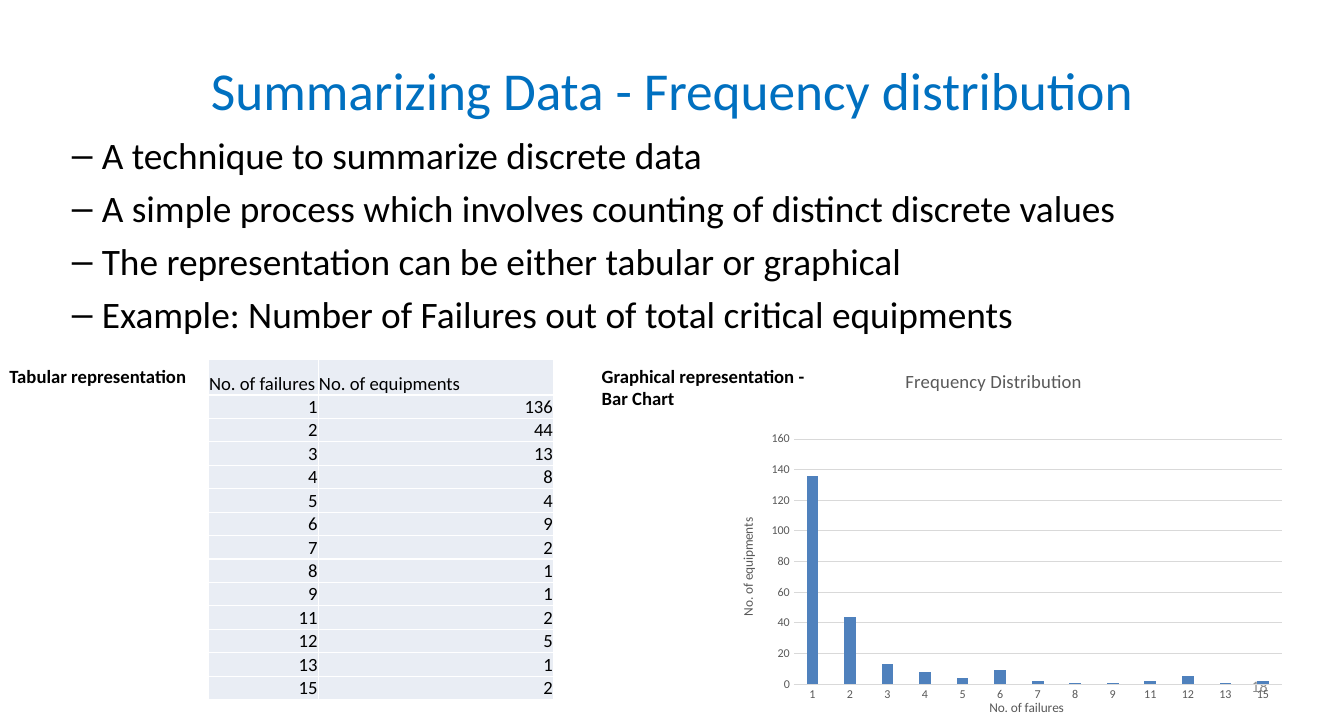
from dataclasses import dataclass

from lxml import etree
from pptx import Presentation
from pptx import util as u
from pptx.chart import data as chart_data
from pptx.dml import color
from pptx.enum import chart as chart_enum, text
from pptx.oxml import ns


@dataclass(frozen=True)
class Theme:
    font: str = "Calibri"
    title: str = "0070C0"
    ink: str = "000000"
    muted: str = "8C8C8C"
    axis: str = "595959"
    grid: str = "D9D9D9"
    cell: str = "E9EDF4"
    border: str = "FFFFFF"
    bar: str = "4F81BD"
    title_size: int = 40
    body_size: int = 28
    label_size: int = 14
    number_size: int = 12
    axis_title_size: int = 10
    tick_size: int = 9


theme = Theme()
rgb = color.RGBColor.from_string


def set_values(target, values):
    for name, value in values.items():
        setattr(target, name, value)


def set_font(font, size, ink, bold=False):
    set_values(font, {"name": theme.font, "size": u.Pt(size), "bold": bold})
    font.color.rgb = rgb(ink)


presentation = Presentation()
set_values(presentation, {"slide_width": u.Cm(35.56), "slide_height": u.Cm(19.05)})
slide = presentation.slides.add_slide(presentation.slide_layouts[1])

title = slide.shapes.title
set_values(title, {"left": u.Cm(1.78), "top": u.Cm(0.76), "width": u.Cm(32), "height": u.Cm(3.18)})
title.text_frame.text = "Summarizing Data - Frequency distribution"
title.text_frame.vertical_anchor = text.MSO_ANCHOR.MIDDLE
title.text_frame.paragraphs[0].alignment = text.PP_ALIGN.CENTER
set_font(title.text_frame.paragraphs[0].runs[0].font, theme.title_size, theme.title)

body = slide.placeholders[1]
set_values(body, {"left": u.Cm(0.38), "top": u.Cm(3.38), "width": u.Cm(34.7), "height": u.Cm(3.61)})
body.text_frame.text = "\n".join([
    "A technique to summarize discrete data",
    "A simple process which involves counting of distinct discrete values",
    "The representation can be either tabular or graphical",
    "Example: Number of Failures out of total critical equipments",
])
body.text_frame.auto_size = text.MSO_AUTO_SIZE.NONE
for paragraph in body.text_frame.paragraphs:
    set_values(paragraph, {"level": 1, "space_before": u.Pt(3), "space_after": u.Pt(3)})
    set_font(paragraph.runs[0].font, theme.body_size, theme.ink)
    properties = paragraph._p.get_or_add_pPr()
    properties.set("marL", str(u.Cm(2.06)))
    properties.set("indent", str(u.Cm(-0.79)))
    etree.SubElement(properties, ns.qn("a:buChar"), char="–")

left, right = text.PP_ALIGN.LEFT, text.PP_ALIGN.RIGHT
middle, top = text.MSO_ANCHOR.MIDDLE, text.MSO_ANCHOR.TOP
labels = [
    ("18", (25.48, 17.65, 8.31, 1.02), theme.number_size, theme.muted, False, right, middle),
    ("Tabular representation", (0, 9.52, 5.77, 0.86), theme.label_size, theme.ink, True, left, top),
    ("Graphical representation - Bar Chart", (15.67, 9.52, 6.53, 1.45),
     theme.label_size, theme.ink, True, left, top),
]
for wording, place, size, ink, bold, alignment, anchor in labels:
    label = slide.shapes.add_textbox(*map(u.Cm, place))
    set_values(label.text_frame, {"text": wording, "word_wrap": True, "vertical_anchor": anchor})
    label.text_frame.paragraphs[0].alignment = alignment
    set_font(label.text_frame.paragraphs[0].runs[0].font, size, ink, bold)

failures = ["1", "2", "3", "4", "5", "6", "7", "8", "9", "11", "12", "13", "15"]
equipments = [136, 44, 13, 8, 4, 9, 2, 1, 1, 2, 5, 1, 2]
headings = ("No. of failures", "No. of equipments")
rows = [headings, *zip(failures, equipments)]

table = slide.shapes.add_table(
    len(rows), 2, u.Cm(5.51), u.Cm(9.52), u.Cm(9.14), u.Cm(8.99)).table
set_values(table, {"first_row": False, "horz_banding": False})
for column, width in zip(table.columns, (2.91, 6.23)):
    column.width = u.Cm(width)
for row_index, values in enumerate(rows):
    table.rows[row_index].height = u.Cm(0.62 if row_index else 0.93)
    for column_index, value in enumerate(values):
        cell = table.cell(row_index, column_index)
        set_values(cell, {
            "text": str(value), "vertical_anchor": text.MSO_ANCHOR.BOTTOM,
            "margin_left": u.Cm(0.02), "margin_right": u.Cm(0.02),
            "margin_top": u.Cm(0.02), "margin_bottom": 0,
        })
        paragraph = cell.text_frame.paragraphs[0]
        paragraph.alignment = right if row_index else left
        set_font(paragraph.runs[0].font, theme.label_size, theme.ink)
        for side in ("lnL", "lnR", "lnT", "lnB"):
            border = etree.SubElement(
                cell._tc.get_or_add_tcPr(), ns.qn(f"a:{side}"), w=str(u.Pt(1)))
            fill = etree.SubElement(border, ns.qn("a:solidFill"))
            etree.SubElement(fill, ns.qn("a:srgbClr"), val=theme.border)
        cell.fill.solid()
        cell.fill.fore_color.rgb = rgb(theme.cell)

frequencies = chart_data.CategoryChartData()
frequencies.categories = failures
frequencies.add_series("Series 1", equipments)
chart = slide.shapes.add_chart(
    chart_enum.XL_CHART_TYPE.COLUMN_CLUSTERED,
    u.Cm(18.62), u.Cm(9.32), u.Cm(15.34), u.Cm(9.73), frequencies).chart
set_font(chart.font, theme.axis_title_size, theme.ink)
chart.has_legend = False
plot = chart.plots[0]
set_values(plot, {"gap_width": 219, "overlap": -27, "vary_by_categories": False})
bars = plot.series[0].format.fill
bars.solid()
bars.fore_color.rgb = rgb(theme.bar)

for part, wording, size in (
    (chart, "Frequency Distribution", theme.label_size),
    (chart.category_axis, headings[0], theme.axis_title_size),
    (chart.value_axis, headings[1], theme.axis_title_size),
):
    part.has_title = True
    heading = part.chart_title if part is chart else part.axis_title
    heading.text_frame.text = wording
    set_font(heading.text_frame.paragraphs[0].runs[0].font, size, theme.axis)

for axis in (chart.category_axis, chart.value_axis):
    set_values(axis, {
        "major_tick_mark": chart_enum.XL_TICK_MARK.NONE,
        "minor_tick_mark": chart_enum.XL_TICK_MARK.NONE,
    })
    set_font(axis.tick_labels.font, theme.tick_size, theme.axis)
chart.value_axis.has_major_gridlines = True
chart.value_axis.format.line.fill.background()
for line in (chart.category_axis.format.line, chart.value_axis.major_gridlines.format.line):
    line.width = u.Pt(0.75)
    line.color.rgb = rgb(theme.grid)

plot_area = chart._chartSpace.chart.plotArea
for layout in plot_area.findall(ns.qn("c:layout")):
    plot_area.remove(layout)
layout = etree.Element(ns.qn("c:layout"))
plot_area.insert(0, layout)
manual = etree.SubElement(layout, ns.qn("c:manualLayout"))
for tag, value in (
    ("layoutTarget", "inner"), ("xMode", "edge"), ("yMode", "edge"),
    ("x", "0.155"), ("y", "0.236"), ("w", "0.842"), ("h", "0.667"),
):
    etree.SubElement(manual, ns.qn(f"c:{tag}"), val=value)

presentation.save("out.pptx")
